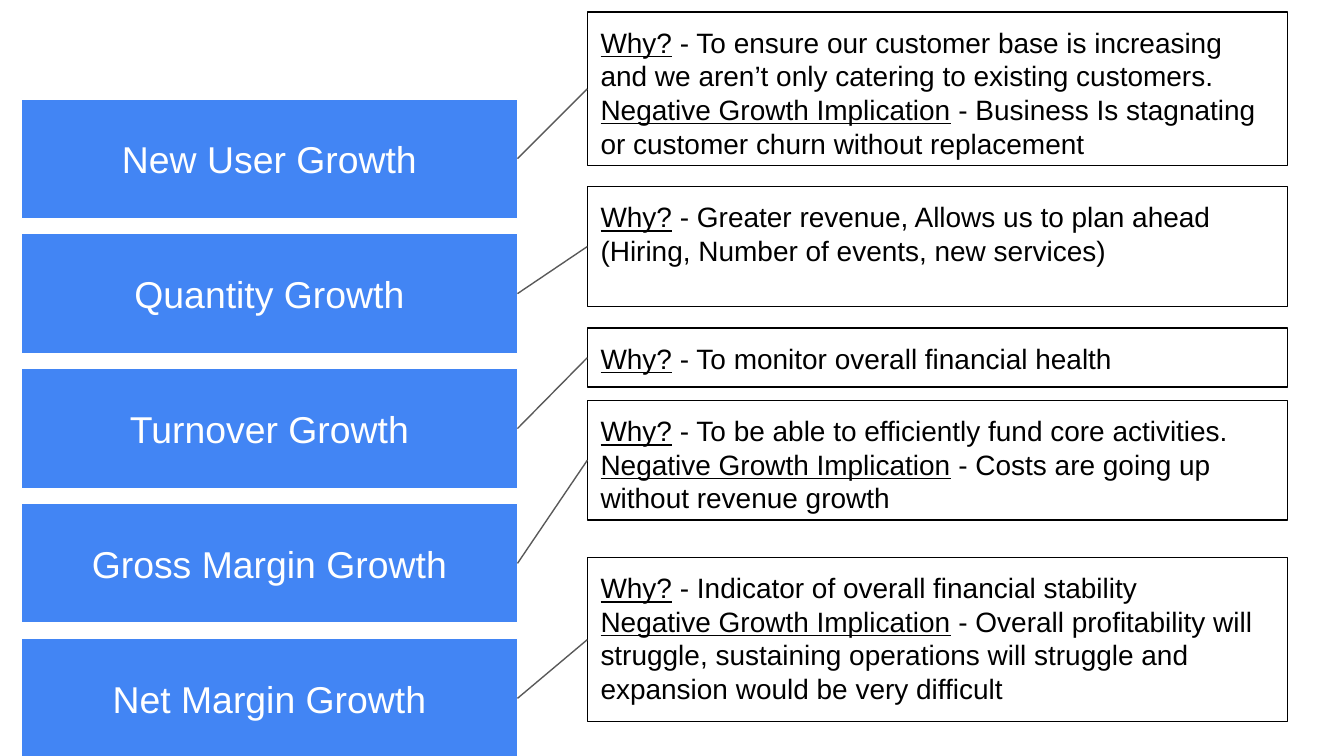
"""Build a slide of five growth metrics, each linked to a note on why it matters."""
from pptx import Presentation
from pptx.dml.color import RGBColor
from pptx.enum.shapes import MSO_CONNECTOR, MSO_SHAPE
from pptx.enum.text import MSO_ANCHOR, PP_ALIGN
from pptx.oxml.ns import qn
from pptx.util import Cm, Pt
from lxml.etree import SubElement
from dataclasses import dataclass


@dataclass(frozen=True)
class Theme:
    blue: RGBColor = RGBColor(0x42, 0x85, 0xF4)
    white: RGBColor = RGBColor(0xFF, 0xFF, 0xFF)
    black: RGBColor = RGBColor(0, 0, 0)
    grey: RGBColor = RGBColor(0x59, 0x59, 0x59)
    font: str = "Arial"
    large: Pt = Pt(20)
    small: Pt = Pt(15)
    line: Pt = Pt(0.75)


theme = Theme()
WHY, DROP = "Why?", "Negative Growth Implication"
LEFT, TOP, WIDTH, HEIGHT, STEP = 0.41, 1.87, 9.37, 2.26, 2.55
NOTE_LEFT, NOTE_WIDTH = 11.1, 13.23

rows = [
    ("New User Growth", 0.23, 2.9, [
        (WHY, " - To ensure our customer base is increasing and we aren’t only catering to existing customers."),
        (DROP, " - Business Is stagnating or customer churn without replacement")]),
    ("Quantity Growth", 3.53, 2.26, [
        (WHY, " - Greater revenue, Allows us to plan ahead (Hiring, Number of events, new services)")]),
    ("Turnover Growth", 6.2, 1.12, [
        (WHY, " - To monitor overall financial health")]),
    ("Gross Margin Growth", 7.57, 2.26, [
        (WHY, " - To be able to efficiently fund core activities."),
        (DROP, " - Costs are going up without revenue growth")]),
    ("Net Margin Growth", 10.54, 3.1, [
        (WHY, " - Indicator of overall financial stability"),
        (DROP, " - Overall profitability will struggle, sustaining operations will struggle and expansion would be very difficult")]),
]


def apply(target, form):
    for name, value in form.items():
        setattr(target, name, value)


def add_box(place, fill, edge, ink, size, frame_form, align, lines):
    box = slide.shapes.add_shape(MSO_SHAPE.RECTANGLE, *map(Cm, place))
    box.shadow.inherit = False
    box.fill.solid()
    box.fill.fore_color.rgb = fill
    box.line.color.rgb = edge
    box.line.width = theme.line
    frame = box.text_frame
    margins = {f"margin_{side}": Cm(0.25) for side in ("left", "top", "right", "bottom")}
    apply(frame, {"word_wrap": True, **margins, **frame_form})
    for i, parts in enumerate(lines):
        para = frame.paragraphs[0] if i == 0 else frame.add_paragraph()
        para.alignment = align
        for text, under in parts:
            run = para.add_run()
            run.text = text
            apply(run.font, {"name": theme.font, "size": size, "underline": under})
            run.font.color.rgb = ink


deck = Presentation()
apply(deck, {"slide_width": Cm(25.4), "slide_height": Cm(14.29)})
slide = deck.slides.add_slide(deck.slide_layouts[6])

for i, (label, note_top, note_height, notes) in enumerate(rows):
    top = TOP + i * STEP
    add_box((LEFT, top, WIDTH, HEIGHT), theme.blue, theme.white, theme.white, theme.large,
            {"vertical_anchor": MSO_ANCHOR.MIDDLE}, PP_ALIGN.CENTER, [[(label, False)]])
    add_box((NOTE_LEFT, note_top, NOTE_WIDTH, note_height), theme.white, theme.black,
            theme.black, theme.small, {"vertical_anchor": MSO_ANCHOR.TOP}, PP_ALIGN.LEFT,
            [[(head, True), (body, False)] for head, body in notes])
    ends = (LEFT + WIDTH, top + HEIGHT / 2, NOTE_LEFT, note_top + note_height / 2)
    link = slide.shapes.add_connector(MSO_CONNECTOR.STRAIGHT, *map(Cm, ends))
    link.line.color.rgb = theme.grey
    link.line.width = theme.line
    SubElement(link._element.spPr, qn("a:effectLst"))

deck.save("out.pptx")
